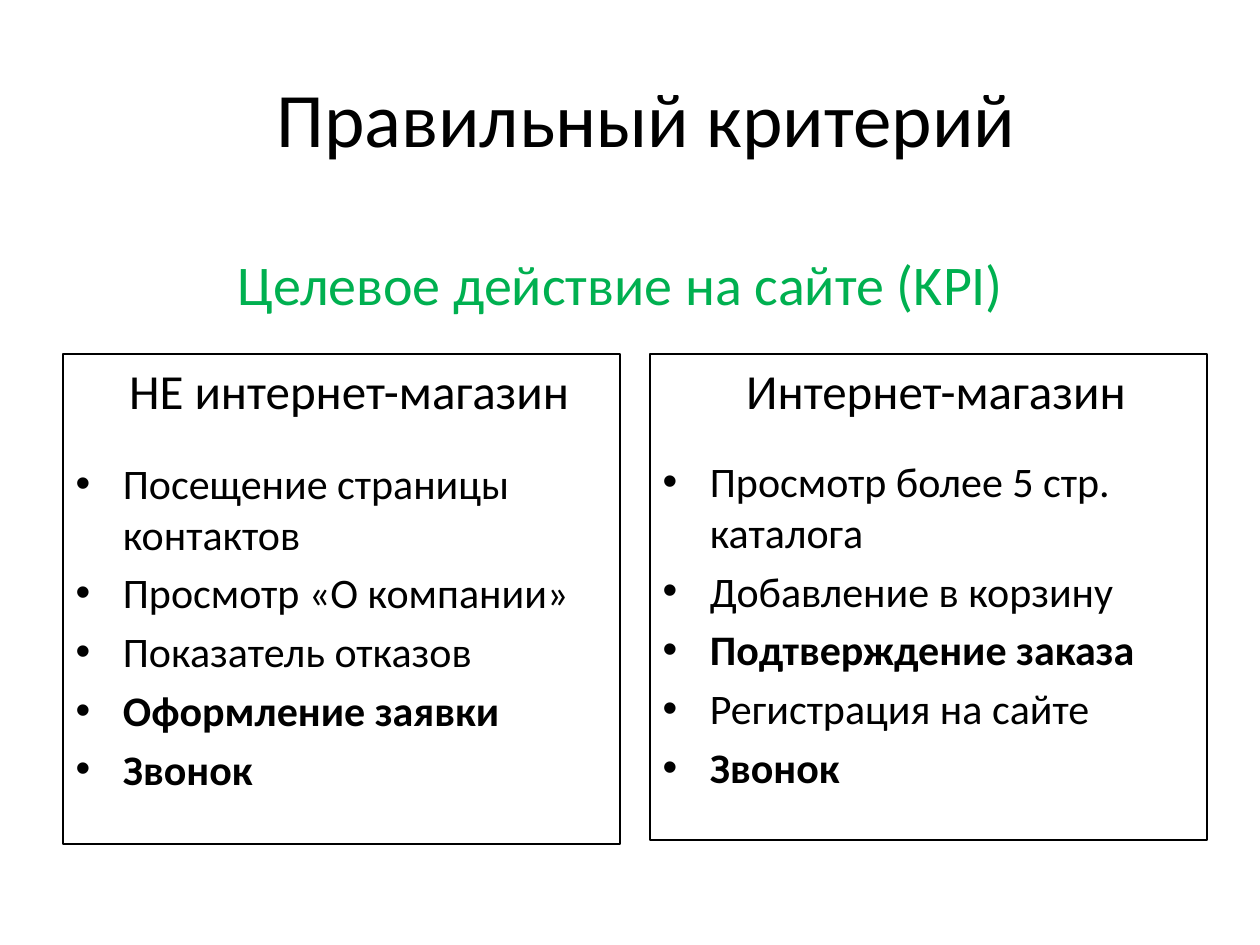
import pptx
import pptx.util
import pptx.dml.color
import pptx.enum.text
import pptx.oxml

BLACK = pptx.dml.color.RGBColor(0x00, 0x00, 0x00)
GREEN = pptx.dml.color.RGBColor(0x00, 0xB0, 0x50)
PX = 914400 / 126


def px(n):
    return pptx.util.Emu(round(n * PX))


class Deck:
    font = "Calibri"
    align = pptx.enum.text.PP_ALIGN
    fit = pptx.enum.text.MSO_AUTO_SIZE

    def __init__(self, prs, layout):
        self.s = prs.slides.add_slide(prs.slide_layouts[layout])

    def place(self, sp, box):
        sp.left, sp.top, sp.width, sp.height = (px(n) for n in box)
        return sp.text_frame

    def run(self, p, text, size, color=BLACK, bold=False):
        r = p.add_run()
        r.text = text
        r.font.name = self.font
        r.font.size = pptx.util.Pt(size)
        r.font.bold = bold
        r.font.color.rgb = color

    def indent(self, p, left):
        pPr = p._p.get_or_add_pPr()
        pPr.set("marL", str(px(left)))
        pPr.set("indent", "0")
        return pPr

    def title(self, box, text):
        tf = self.place(self.s.shapes.title, box)
        tf.vertical_anchor = pptx.enum.text.MSO_ANCHOR.MIDDLE
        tf.auto_size = self.fit.NONE
        p = tf.paragraphs[0]
        p.alignment = self.align.CENTER
        self.indent(p, 33)
        self.run(p, text, 44)

    def subtitle(self, box, text):
        tf = self.place(self.s.shapes.add_textbox(0, 0, 0, 0), box)
        tf.word_wrap = True
        tf.auto_size = self.fit.SHAPE_TO_FIT_TEXT
        p = tf.paragraphs[0]
        p.alignment = self.align.CENTER
        p.line_spacing = 2.0
        self.run(p, text, 32, GREEN)

    def panel(self, idx, box, heading, gap, items):
        sp = self.s.placeholders[idx]
        tf = self.place(sp, box)
        tf.auto_size = self.fit.NONE
        sp.line.color.rgb = BLACK
        sp.line.width = pptx.util.Pt(0.75)
        p = tf.paragraphs[0]
        p.alignment = self.align.CENTER
        pPr = self.indent(p, 15)
        pPr.append(pptx.oxml.parse_xml(
            '<a:buNone xmlns:a="http://schemas.openxmlformats.org/drawingml/2006/main"/>'))
        self.run(p, heading, 28)
        for i, (text, bold) in enumerate(items):
            p = tf.add_paragraph()
            if i == 0:
                p.space_before = pptx.util.Pt(gap)
            self.run(p, text, 24, bold=bold)


def main():
    prs = pptx.Presentation()
    prs.slide_width, prs.slide_height = px(1260), px(945)
    deck = Deck(prs, 3)
    deck.title((63, 38, 1134, 158), "Правильный критерий")
    deck.panel(1, (63, 354, 557, 490), "НЕ интернет-магазин", 22, [
        ("Посещение страницы контактов", False),
        ("Просмотр «О компании»", False),
        ("Показатель отказов", False),
        ("Оформление заявки", True),
        ("Звонок", True),
    ])
    deck.panel(2, (650, 354, 557, 486), "Интернет-магазин", 21, [
        ("Просмотр более 5 стр. каталога", False),
        ("Добавление в корзину", False),
        ("Подтверждение заказа", True),
        ("Регистрация на сайте", False),
        ("Звонок", True),
    ])
    deck.subtitle((154, 176, 934, 130), "Целевое действие на сайте (KPI)")
    prs.save("out.pptx")


if __name__ == "__main__":
    main()
